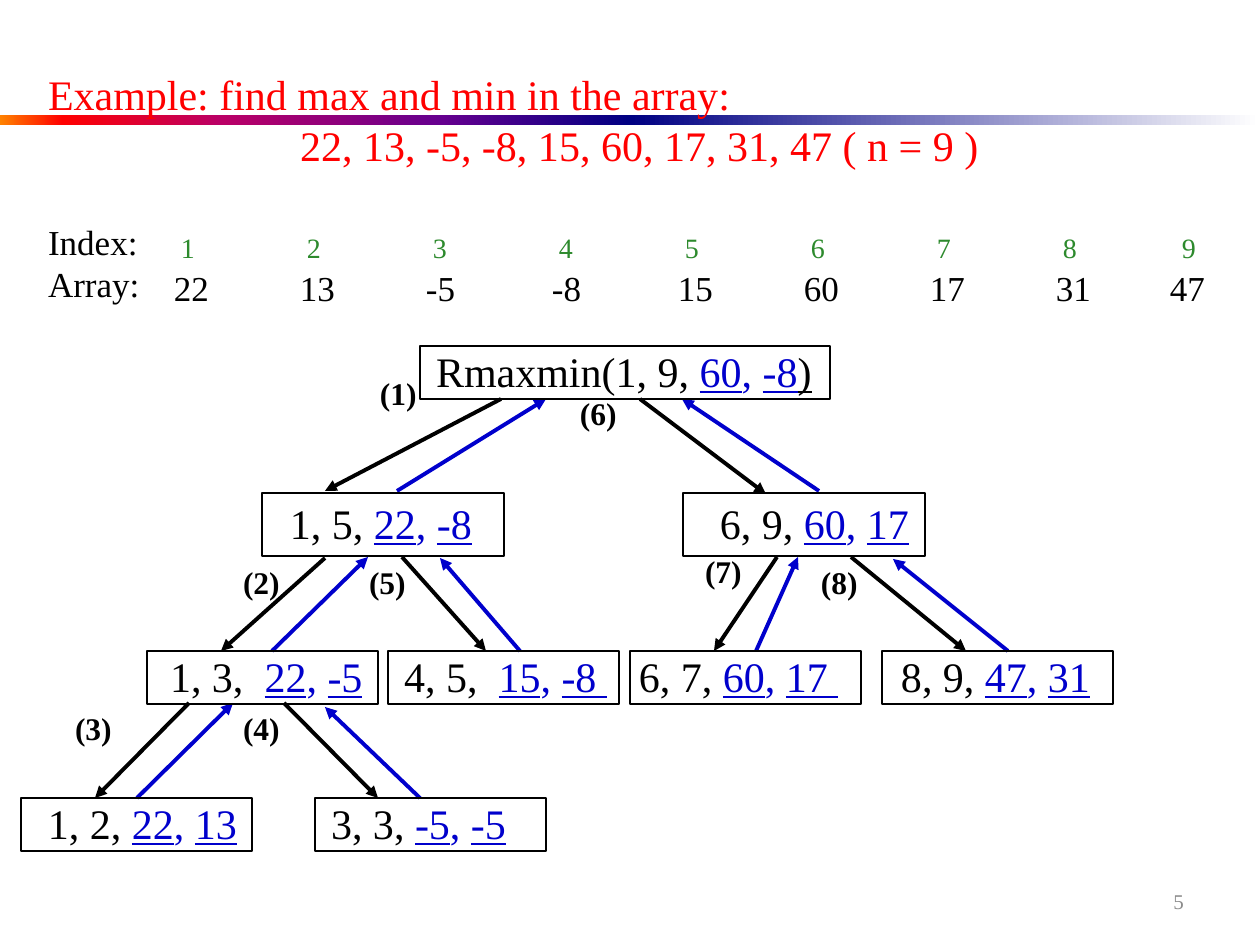
from lxml import etree
from pptx import Presentation
from pptx.dml.color import RGBColor
from pptx.enum.shapes import MSO_CONNECTOR, MSO_SHAPE
from pptx.enum.text import MSO_ANCHOR, MSO_AUTO_SIZE, PP_ALIGN
from pptx.oxml.ns import qn
from pptx.util import Pt

RECT, LINE = MSO_SHAPE.RECTANGLE, MSO_CONNECTOR.STRAIGHT
TOP, MIDDLE = MSO_ANCHOR.TOP, MSO_ANCHOR.MIDDLE
LEFT, RIGHT = PP_ALIGN.LEFT, PP_ALIGN.RIGHT
NO_FIT = MSO_AUTO_SIZE.NONE
BLACK = RGBColor(0, 0, 0)
RED = RGBColor(0xFF, 0, 0)
BLUE = RGBColor(0, 0, 0xCC)
GREEN = RGBColor(0x2D, 0x8A, 0x2D)
GREY = RGBColor(0x8C, 0x8C, 0x8C)
FONT = "Times New Roman"

TITLE = [("Example: find max and min in the array:", 0),
         ("22, 13, -5, -8, 15, 60, 17, 31, 47 ( n = 9 )", 252)]
ARRAY = [22, 13, -5, -8, 15, 60, 17, 31, 47]
COLUMN = 126
# label, values, size, colour, first left, last left, middle
ROWS = [("Index:", range(1, 10), 16, GREEN, 181, 1182, 247),
        ("Array:", ARRAY, 20, BLACK, 174, 1170, 287)]
BARS = [(0, [(0, "FF8200"), (10, "FF0000"), (35, "BA0066"),
             (70, "66008F"), (100, "000082")]),
        (630, [(0, "000082"), (100, "FFFFFF")])]
# left, top, width, height, text inset, range, max, min, ending
CALLS = [
    (420, 346, 410, 53, 16, "Rmaxmin(1, 9, ", "60", "-8", ")"),
    (262, 493, 242, 63, 28, "1, 5, ", "22", "-8", ""),
    (683, 493, 242, 63, 37, "6, 9, ", "60", "17", ""),
    (147, 651, 231, 53, 23, "1, 3,  ", "22", "-5", ""),
    (388, 651, 231, 53, 16, "4, 5,  ", "15", "-8 ", ""),
    (630, 651, 231, 53, 9, "6, 7, ", "60", "17 ", ""),
    (882, 651, 231, 53, 19, "8, 9, ", "47", "31", ""),
    (21, 798, 231, 53, 27, "1, 2, ", "22", "13", ""),
    (315, 798, 231, 53, 16, "3, 3, ", "-5", "-5", ""),
]
# label position, call arrow, return arrow
STEPS = [
    ((368, 368), (501, 399, 325, 491), (397, 491, 546, 399)),
    ((231, 557), (325, 558, 221, 651), (272, 651, 368, 557)),
    ((63, 703), (189, 703, 95, 798), (137, 798, 233, 703)),
    ((231, 703), (284, 703, 378, 798), (420, 798, 325, 707)),
    ((357, 557), (402, 557, 486, 651), (520, 651, 440, 558)),
    ((568, 388), (640, 399, 766, 494), (819, 491, 682, 399)),
    ((693, 546), (777, 557, 714, 651), (756, 651, 798, 557)),
    ((809, 557), (851, 557, 966, 651), (1008, 651, 893, 559)),
]


def px(n):
    return round(n * 914400 / 126)


def add_run(p, text, size, color, **fmt):
    r = p.add_run()
    r.text = text
    r.font.color.rgb = color
    for name, value in {"name": FONT, "size": Pt(size), **fmt}.items():
        setattr(r.font, name, value)


def format_frame(tf, anchor, **fmt):
    values = {"margin_left": 0, "margin_right": 0, "margin_top": 0,
              "margin_bottom": 0, "vertical_anchor": anchor,
              "word_wrap": True, "auto_size": NO_FIT, **fmt}
    for name, value in values.items():
        setattr(tf, name, value)


def place(sp, x, y, w, h):
    sp.left, sp.top, sp.width, sp.height = map(px, (x, y, w, h))


def next_paragraph(tf, i, indent=0):
    p = tf.add_paragraph() if i else tf.paragraphs[0]
    p.alignment, p.line_spacing = LEFT, 1.0
    p.space_before, p.space_after = Pt(0), Pt(0.5)
    pPr = p._p.get_or_add_pPr()
    pPr.set("marL", str(px(indent)))
    pPr.set("indent", "0")
    etree.SubElement(pPr, qn("a:buNone"))
    return p


def add_bar(s, x, stops):
    sp = s.shapes.add_shape(RECT, px(x), px(115), px(630), px(10))
    sp.shadow.inherit = False
    sp.line.fill.background()
    sp.fill.gradient()
    sp.fill.gradient_angle = 0
    gs_list = sp.element.spPr.find(qn("a:gradFill")).find(qn("a:gsLst"))
    for gs in list(gs_list):
        gs_list.remove(gs)
    for pos, color in stops:
        gs = etree.SubElement(gs_list, qn("a:gs"), pos=str(pos * 1000))
        etree.SubElement(gs, qn("a:srgbClr"), val=color)
    sp.element.getparent().insert(2, sp.element)


def add_arrow(s, ends, color):
    c = s.shapes.add_connector(LINE, *map(px, ends))
    c.line.color.rgb, c.line.width = color, Pt(2.25)
    etree.SubElement(c.line._get_or_add_ln(), qn("a:tailEnd"), type="triangle")
    etree.SubElement(c.element.spPr, qn("a:effectLst"))


def add_call(s, x, y, w, h, inset, bounds, high, low, ending):
    sp = s.shapes.add_shape(RECT, *map(px, (x, y, w, h)))
    sp.shadow.inherit = False
    sp.fill.background()
    sp.line.color.rgb, sp.line.width = BLACK, Pt(0.75)
    format_frame(sp.text_frame, MIDDLE, margin_left=px(inset),
                 margin_bottom=px(4), word_wrap=False)
    p = sp.text_frame.paragraphs[0]
    p.alignment = LEFT
    add_run(p, bounds, 24, BLACK)
    add_run(p, high, 24, BLUE, underline=True)
    add_run(p, ", ", 24, BLUE)
    add_run(p, low, 24, BLUE, underline=True)
    if ending:
        add_run(p, ending, 24, BLACK, underline=True)


def add_label(s, box, text, size, color, align, **fmt):
    tf = s.shapes.add_textbox(*map(px, box)).text_frame
    format_frame(tf, MIDDLE)
    p = tf.paragraphs[0]
    p.alignment = align
    add_run(p, text, size, color, **fmt)


def main():
    prs = Presentation()
    prs.slide_width, prs.slide_height = px(1260), px(945)
    s = prs.slides.add_slide(prs.slide_layouts[1])
    title, body = s.placeholders

    place(title, 48, 68, 1182, 110)
    format_frame(title.text_frame, TOP)
    for i, (text, indent) in enumerate(TITLE):
        p = next_paragraph(title.text_frame, i, indent)
        add_run(p, text, 24, RED)

    place(body, 48, 220, 110, 90)
    format_frame(body.text_frame, TOP)
    for i, (label, values, size, color, first, last, middle) in enumerate(ROWS):
        add_run(next_paragraph(body.text_frame, i), label, 20, BLACK)
        lefts = [first + COLUMN * k for k in range(len(values) - 1)] + [last]
        for x, value in zip(lefts, values):
            add_label(s, (x, middle - 21, 60, 42), str(value), size, color, LEFT)

    for x, stops in BARS:
        add_bar(s, x, stops)
    for n, ((x, y), call, back) in enumerate(STEPS, 1):
        add_label(s, (x + 12, y + 6, 42, 38), f"({n})", 18, BLACK, LEFT, bold=True)
        add_arrow(s, call, BLACK)
        add_arrow(s, back, BLUE)
    for call in CALLS:
        add_call(s, *call)
    add_label(s, (903, 876, 281, 50), "5", 12, GREY, RIGHT)
    prs.save("out.pptx")


if __name__ == "__main__":
    main()
